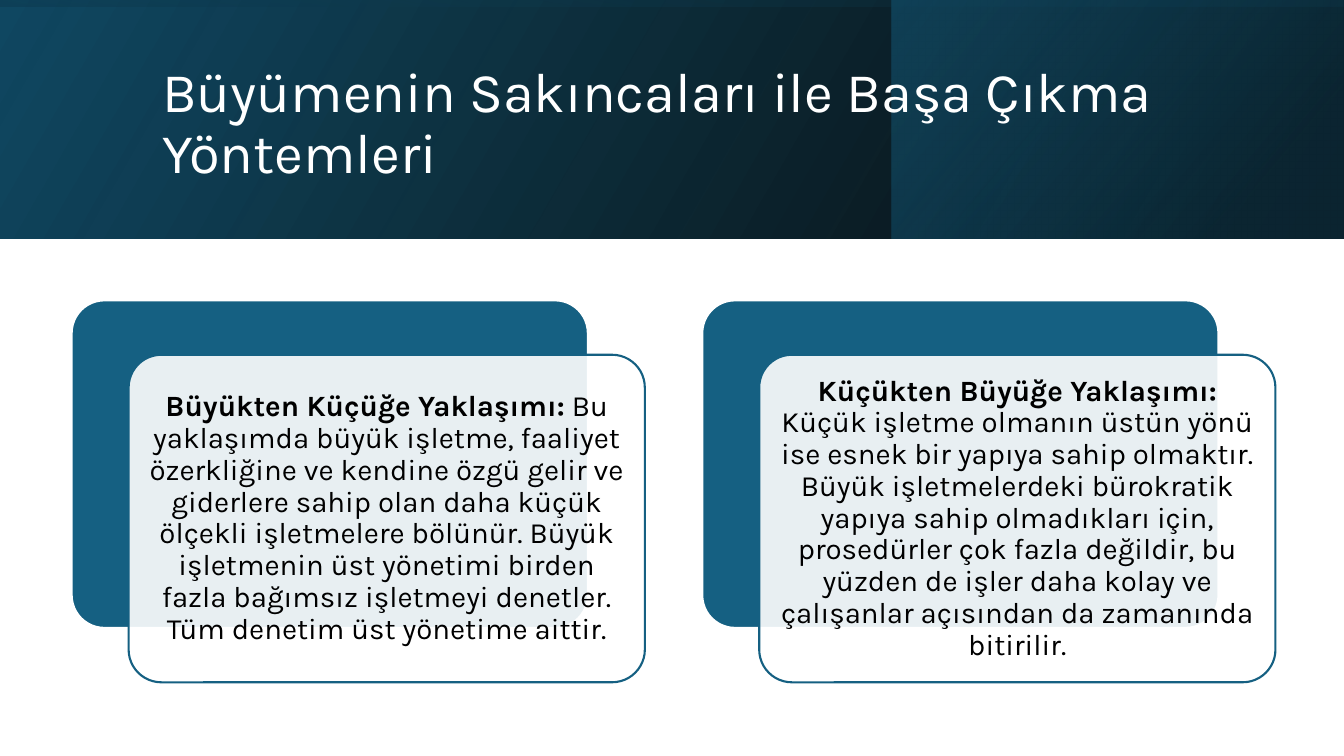
import pptx
import pptx.dml.color
import pptx.enum.shapes
import pptx.enum.text
import pptx.oxml.ns
import pptx.util

WIDTH = pptx.util.Inches(13.33)
HEIGHT = pptx.util.Inches(7.5)
SHAPE = pptx.enum.shapes.MSO_SHAPE
ALIGN = pptx.enum.text.PP_ALIGN

BAND_HEIGHT = 31.6
CARD_LEFT, CARD_TOP = 5.33, 39.73
CARD_WIDTH, CARD_HEIGHT = 38.41, 43.33
CARD_STEP = 46.92
FRONT_RIGHT, FRONT_DOWN = 4.24, 7.2
PAD_ACROSS, PAD_DOWN = 0.74, 1.27

CARDS = [
    ("Büyükten Küçüğe Yaklaşımı:",
     " Bu yaklaşımda büyük işletme, faaliyet özerkliğine ve kendine özgü "
     "gelir ve giderlere sahip olan daha küçük ölçekli işletmelere bölünür. "
     "Büyük işletmenin üst yönetimi birden fazla bağımsız işletmeyi denetler. "
     "Tüm denetim üst yönetime aittir."),
    ("Küçükten Büyüğe Yaklaşımı:",
     " Küçük işletme olmanın üstün yönü ise esnek bir yapıya sahip olmaktır. "
     "Büyük işletmelerdeki bürokratik yapıya sahip olmadıkları için, "
     "prosedürler çok fazla değildir, bu yüzden de işler daha kolay ve "
     "çalışanlar açısından da zamanında bitirilir."),
]


def color(code):
    return pptx.dml.color.RGBColor.from_string(code)


def place(left, top, width, height):
    return (round(WIDTH * left / 100), round(HEIGHT * top / 100),
            round(WIDTH * width / 100), round(HEIGHT * height / 100))


def set_opacity(shape, *shares):
    tag = pptx.oxml.ns.qn("a:srgbClr")
    for node, share in zip(list(shape.element.iter(tag)), shares):
        alpha = node.makeelement(pptx.oxml.ns.qn("a:alpha"), {"val": str(share * 1000)})
        node.append(alpha)


def add_band(page, area, stops, angle, rotation=0):
    band = page.shapes.add_shape(SHAPE.RECTANGLE, *place(*area))
    band.shadow.inherit = False
    band.line.fill.background()
    band.rotation = rotation
    band.element.spPr.xfrm.set("flipH", "1")
    band.fill.gradient()
    band.fill.gradient_angle = angle
    for stop, (position, code, _) in zip(band.fill.gradient_stops, stops):
        stop.position = position
        stop.color.rgb = color(code)
    set_opacity(band, *[opacity for _, _, opacity in stops])


def add_panel(page, area, fill, line, opacity=100):
    panel = page.shapes.add_shape(SHAPE.ROUNDED_RECTANGLE, *place(*area))
    panel.adjustments[0] = 0.1
    panel.shadow.inherit = False
    panel.fill.solid()
    panel.fill.fore_color.rgb = color(fill)
    if opacity < 100:
        set_opacity(panel, opacity)
    panel.line.color.rgb = color(line)
    panel.line.width = pptx.util.Pt(1.5)


def add_text(page, area, text, lead="", size=21, code="000000",
             align=ALIGN.CENTER, insets=(0.09, 0.09)):
    box = page.shapes.add_textbox(*place(*area))
    frame = box.text_frame
    frame.word_wrap = True
    frame.vertical_anchor = pptx.enum.text.MSO_ANCHOR.MIDDLE
    frame.margin_left = frame.margin_right = pptx.util.Inches(insets[0])
    frame.margin_top = frame.margin_bottom = pptx.util.Inches(insets[1])
    para = frame.paragraphs[0]
    para.alignment = align
    para.line_spacing = 0.9
    for words, bold in ((lead, True), (text, False)):
        if words:
            span = para.add_run()
            span.text = words
            span.font.name = "Karla"
            span.font.size = pptx.util.Pt(size)
            span.font.bold = bold
            span.font.color.rgb = color(code)


def add_card(page, index, lead, text):
    left = CARD_LEFT + index * CARD_STEP
    front_left, front_top = left + FRONT_RIGHT, CARD_TOP + FRONT_DOWN
    add_panel(page, (left, CARD_TOP, CARD_WIDTH, CARD_HEIGHT), "156082", "FFFFFF")
    add_panel(page, (front_left, front_top, CARD_WIDTH, CARD_HEIGHT),
              "FFFFFF", "156082", opacity=90)
    add_text(page, (front_left + PAD_ACROSS, front_top + PAD_DOWN,
                    CARD_WIDTH - 2 * PAD_ACROSS, CARD_HEIGHT - 2 * PAD_DOWN),
             text, lead=lead)


def add_header(page):
    add_band(page, (0, 0, 100, BAND_HEIGHT),
             [(0, "000000", 96), (1, "104862", 100)], 30)
    add_band(page, (66.32, 0, 33.61, BAND_HEIGHT),
             [(0.19, "0B3041", 68), (1, "156082", 48)], 40)
    turned_width = BAND_HEIGHT * HEIGHT / WIDTH
    turned_height = 100 * WIDTH / HEIGHT
    add_band(page, (50 - turned_width / 2, (BAND_HEIGHT - turned_height) / 2,
                    turned_width, turned_height),
             [(0.23, "104862", 16), (0.99, "000000", 45)], 10, rotation=270)
    add_text(page, (11.33, 5.07, 79.74, 22.93),
             "Büyümenin Sakıncaları ile Başa Çıkma Yöntemleri",
             size=40, code="FFFFFF", align=ALIGN.LEFT, insets=(0.1, 0.05))


def main():
    deck = pptx.Presentation()
    deck.slide_width, deck.slide_height = WIDTH, HEIGHT
    page = deck.slides.add_slide(deck.slide_layouts[6])
    add_header(page)
    for index, (lead, text) in enumerate(CARDS):
        add_card(page, index, lead, text)
    deck.save("out.pptx")


if __name__ == "__main__":
    main()
